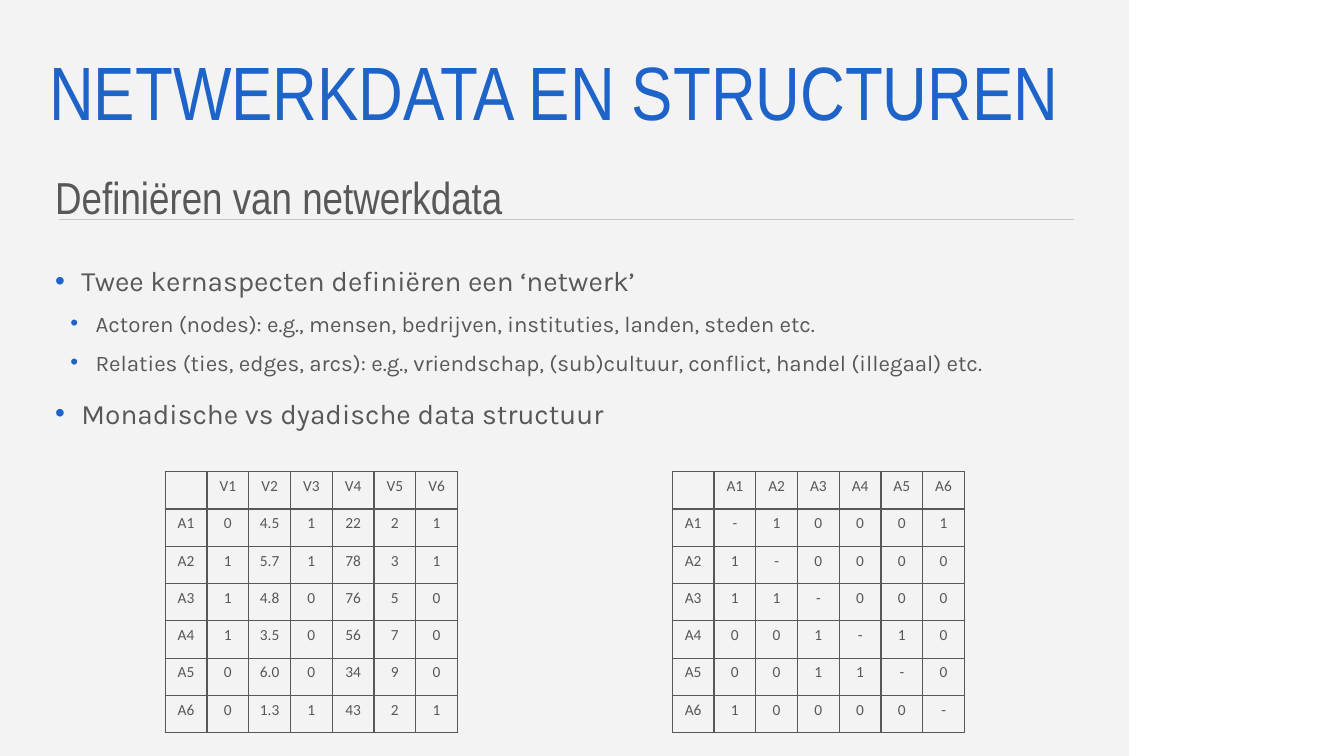
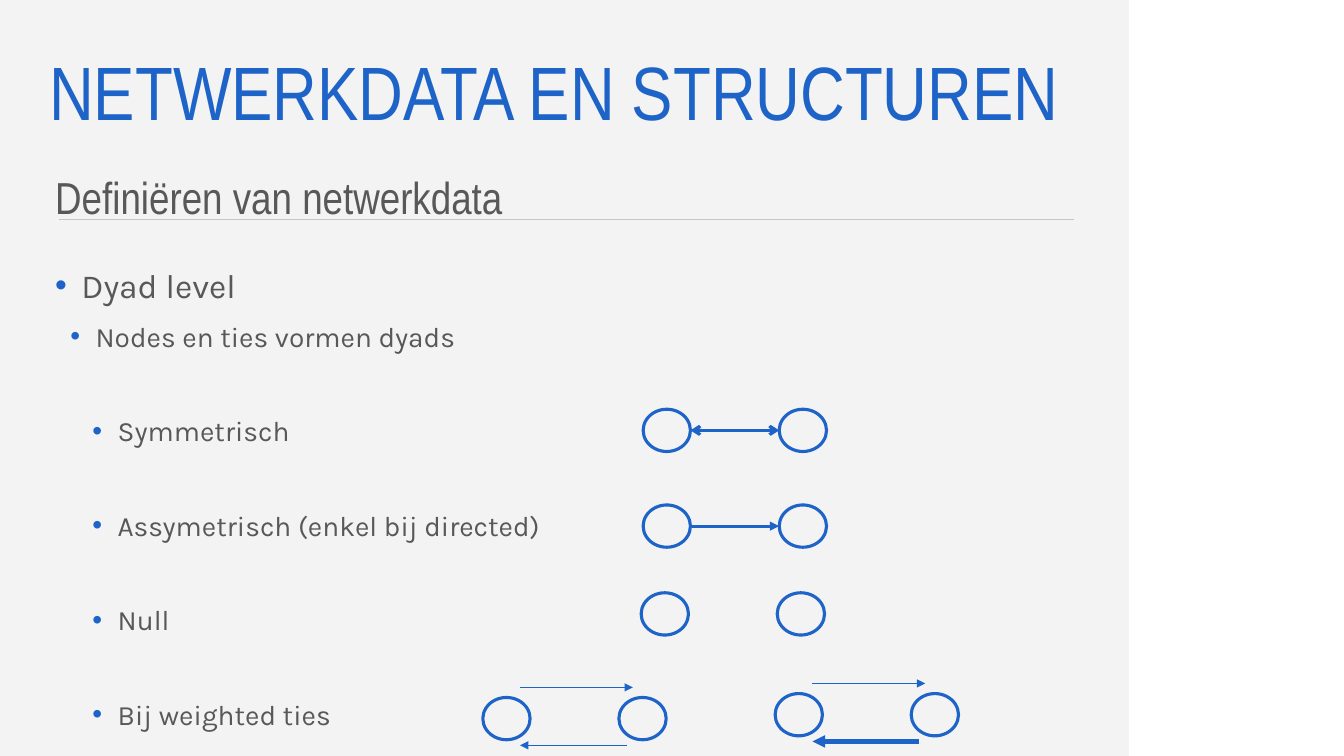
from collections import namedtuple
from dataclasses import dataclass

from lxml import etree
from pptx import Presentation
from pptx.dml.color import RGBColor
from pptx.enum import shapes, text
from pptx.oxml import ns
from pptx.util import Pt

Box = namedtuple("Box", "left top width height")
Level = namedtuple("Level", "margin indent space")


@dataclass(frozen=True)
class Theme:
    accent: str = "1E64C8"
    ink: str = "585858"
    band: str = "F3F3F3"
    rule: str = "C6C6C6"
    heading_font: str = "Arial Narrow"
    body_font: str = "Karla"
    table_font: str = "Calibri"
    title_size: int = 54
    subtitle_size: int = 32
    large: int = 24
    medium: int = 20
    small: int = 16
    cell_size: int = 11
    hairline: float = 0.5
    border: float = 1
    outline: float = 2.25
    heavy: float = 3


THEME = Theme()
LEVELS = (Level(18.7, -18.7, 10), Level(28.8, -18, 5), Level(44.6, -18, 5))
SECTION_SPACE = 38.8

PAGE = Box(0, 0, 960, 540)
BAND = Box(0, 0, 806.4, 540)
RULE = Box(42.5, 157, 725, 0)
TITLE = Box(28, 26, 739, 85.6)
SUBTITLE = Box(32.4, 110, 734.4, 51)
BODY = Box(32.4, 180, 734.4, 351)

GRID_SIZE = (208.8, 186.5)
MONADIC = Box(118, 337, *GRID_SIZE)
DYADIC = Box(480.2, 337, *GRID_SIZE)

NODE = (33.8, 30.2)
NODE_STEP = 97.2
DYAD_SIZE = (NODE_STEP + NODE[0], NODE[1])
SYMMETRIC = Box(459.4, 292.3, *DYAD_SIZE)
ASYMMETRIC = Box(459.4, 360.7, *DYAD_SIZE)
NULL = Box(458, 423.4, *DYAD_SIZE)
EQUAL_WEIGHTS = Box(344.9, 498.2, *DYAD_SIZE)
UNEQUAL_WEIGHTS = Box(553.7, 495.4, *DYAD_SIZE)


def points(values):
    return [Pt(value) for value in values]


def rgb(colour):
    return RGBColor.from_string(colour)


def sub(parent, tag, **attributes):
    return etree.SubElement(parent, ns.qn(tag), attributes)


def style(paragraph, font, size, colour):
    paragraph.font.name = font
    paragraph.font.size = Pt(size)
    paragraph.font.color.rgb = rgb(colour)


def add_line(slide, start, end, colour, weight, head=None, tail=None):
    line = slide.shapes.add_connector(
        shapes.MSO_CONNECTOR.STRAIGHT, *points(start + end))
    line.line.color.rgb = rgb(colour)
    line.line.width = Pt(weight)
    properties = line.element.spPr
    stroke = properties.find(ns.qn("a:ln"))
    for tag, kind in (("a:headEnd", head), ("a:tailEnd", tail)):
        if kind:
            sub(stroke, tag, type=kind)
    sub(properties, "a:effectLst")
    return line


def add_background(layout, slide):
    band = slide.shapes.add_shape(shapes.MSO_SHAPE.RECTANGLE, *points(BAND))
    band.shadow.inherit = False
    band.fill.solid()
    band.fill.fore_color.rgb = rgb(THEME.band)
    band.line.fill.background()
    rule = add_line(slide, (RULE.left, RULE.top),
                    (RULE.left + RULE.width, RULE.top), THEME.rule, THEME.hairline)
    for order, part in enumerate((band, rule)):
        next(part.element.iter(ns.qn("p:cNvPr"))).set("id", str(100 + order))
        layout.shapes.element.insert(2 + order, part.element)


def add_title(slide, box, wording):
    title = slide.shapes.title
    title.left, title.top, title.width, title.height = points(box)
    frame = title.text_frame
    frame.text = wording
    frame.word_wrap = True
    frame.auto_size = text.MSO_AUTO_SIZE.NONE
    frame.vertical_anchor = text.MSO_ANCHOR.MIDDLE
    heading = frame.paragraphs[0]
    heading.alignment = text.PP_ALIGN.LEFT
    heading.line_spacing = 0.9
    style(heading, THEME.heading_font, THEME.title_size, THEME.accent)


def add_text_frame(slide, box):
    frame = slide.shapes.add_textbox(*points(box)).text_frame
    frame.word_wrap = True
    return frame


def add_subtitle(slide, box, wording):
    subtitle = add_text_frame(slide, box).paragraphs[0]
    subtitle.text = wording
    subtitle.line_spacing = 1.2
    style(subtitle, THEME.heading_font, THEME.subtitle_size, THEME.ink)


def add_bullets(slide, box, items):
    frame = add_text_frame(slide, box)
    for order, (depth, size, wording) in enumerate(items):
        item = frame.add_paragraph() if order else frame.paragraphs[0]
        item.text = wording
        item.level = depth
        item.line_spacing = 1.2
        level = LEVELS[depth]
        if order:
            item.space_before = Pt(SECTION_SPACE if depth == 2 else level.space)
        properties = item._p.get_or_add_pPr()
        properties.set("marL", str(Pt(level.margin)))
        properties.set("indent", str(Pt(level.indent)))
        sub(sub(properties, "a:buClr"), "a:srgbClr", val=THEME.accent)
        sub(properties, "a:buFont", typeface="Arial")
        sub(properties, "a:buChar", char="•")
        style(item, THEME.body_font, size, THEME.ink)


def format_cell(cell, wording):
    cell.text = wording
    cell.margin_left = cell.margin_right = Pt(4)
    cell.margin_bottom = Pt(0)
    entry = cell.text_frame.paragraphs[0]
    entry.alignment = text.PP_ALIGN.CENTER
    style(entry, THEME.table_font, THEME.cell_size, THEME.ink)
    properties = cell._tc.get_or_add_tcPr()
    for side in "LRTB":
        border = sub(properties, f"a:ln{side}", w=str(Pt(THEME.border)))
        sub(sub(border, "a:solidFill"), "a:srgbClr", val=THEME.ink)
    cell.fill.background()


def add_matrix(slide, box, header, body):
    rows = [["", *header.split()]]
    rows += [[f"A{number}", *line.split()] for number, line in enumerate(body, 1)]
    table = slide.shapes.add_table(len(rows), len(rows[0]), *points(box)).table
    table.first_row = table.horz_banding = False
    for column in table.columns:
        column.width = Pt(round(box.width / len(rows[0]), 2))
    for row, entries in zip(table.rows, rows):
        row.height = Pt(round(box.height / len(rows), 2))
        for cell, wording in zip(row.cells, entries):
            format_cell(cell, wording)


def add_dyad(slide, box):
    for left in (box.left, box.left + NODE_STEP):
        node = slide.shapes.add_shape(
            shapes.MSO_SHAPE.OVAL, *points((left, box.top, *NODE)))
        node.shadow.inherit = False
        node.fill.background()
        node.line.color.rgb = rgb(THEME.accent)
        node.line.width = Pt(THEME.outline)


def add_tied_dyad(slide, box, head, tail):
    add_dyad(slide, box)
    middle = box.top + box.height / 2
    add_line(slide, (box.left + NODE[0], middle), (box.left + NODE_STEP, middle),
             THEME.accent, THEME.outline, head, tail)


def add_weighted_dyad(slide, box, return_weight):
    add_dyad(slide, box)
    near, above, below = box.left + 26.6, box.top - 7.2, box.top + 34.2
    add_line(slide, (near, above), (near + 80.6, above),
             THEME.accent, THEME.hairline, tail="triangle")
    add_line(slide, (near + 76.3, below), (near, below),
             THEME.accent, return_weight, tail="triangle")


def add_page(deck, items):
    slide = deck.slides.add_slide(deck.slide_layouts[5])
    add_title(slide, TITLE, "NETWERKDATA EN STRUCTUREN")
    add_subtitle(slide, SUBTITLE, "Definiëren van netwerkdata")
    add_bullets(slide, BODY, items)
    return slide


def build_data_slide(deck):
    slide = add_page(deck, (
        (0, THEME.medium, "Twee kernaspecten definiëren een ‘netwerk’"),
        (1, THEME.small, "Actoren (nodes): e.g., mensen, bedrijven, instituties, "
                         "landen, steden etc."),
        (1, THEME.small, "Relaties (ties, edges, arcs): e.g., vriendschap, "
                         "(sub)cultuur, conflict, handel (illegaal) etc."),
        (0, THEME.medium, "Monadische vs dyadische data structuur"),
    ))
    add_matrix(slide, MONADIC, "V1 V2 V3 V4 V5 V6", (
        "0 4.5 1 22 2 1",
        "1 5.7 1 78 3 1",
        "1 4.8 0 76 5 0",
        "1 3.5 0 56 7 0",
        "0 6.0 0 34 9 0",
        "0 1.3 1 43 2 1",
    ))
    add_matrix(slide, DYADIC, "A1 A2 A3 A4 A5 A6", (
        "- 1 0 0 0 1",
        "1 - 0 0 0 0",
        "1 1 - 0 0 0",
        "0 0 1 - 1 0",
        "0 0 1 1 - 0",
        "1 0 0 0 0 -",
    ))
    return slide


def build_dyad_slide(deck):
    slide = add_page(deck, (
        (0, THEME.large, "Dyad level"),
        (1, THEME.medium, "Nodes en ties vormen dyads"),
        (2, THEME.medium, "Symmetrisch"),
        (2, THEME.medium, "Assymetrisch (enkel bij directed)"),
        (2, THEME.medium, "Null"),
        (2, THEME.medium, "Bij weighted ties"),
    ))
    add_tied_dyad(slide, SYMMETRIC, "arrow", "arrow")
    add_tied_dyad(slide, ASYMMETRIC, None, "triangle")
    add_dyad(slide, NULL)
    add_weighted_dyad(slide, EQUAL_WEIGHTS, THEME.hairline)
    add_weighted_dyad(slide, UNEQUAL_WEIGHTS, THEME.heavy)


def main():
    deck = Presentation()
    deck.slide_width, deck.slide_height = Pt(PAGE.width), Pt(PAGE.height)
    data_slide = build_data_slide(deck)
    add_background(data_slide.slide_layout, data_slide)
    build_dyad_slide(deck)
    deck.save("out.pptx")


if __name__ == "__main__":
    main()
